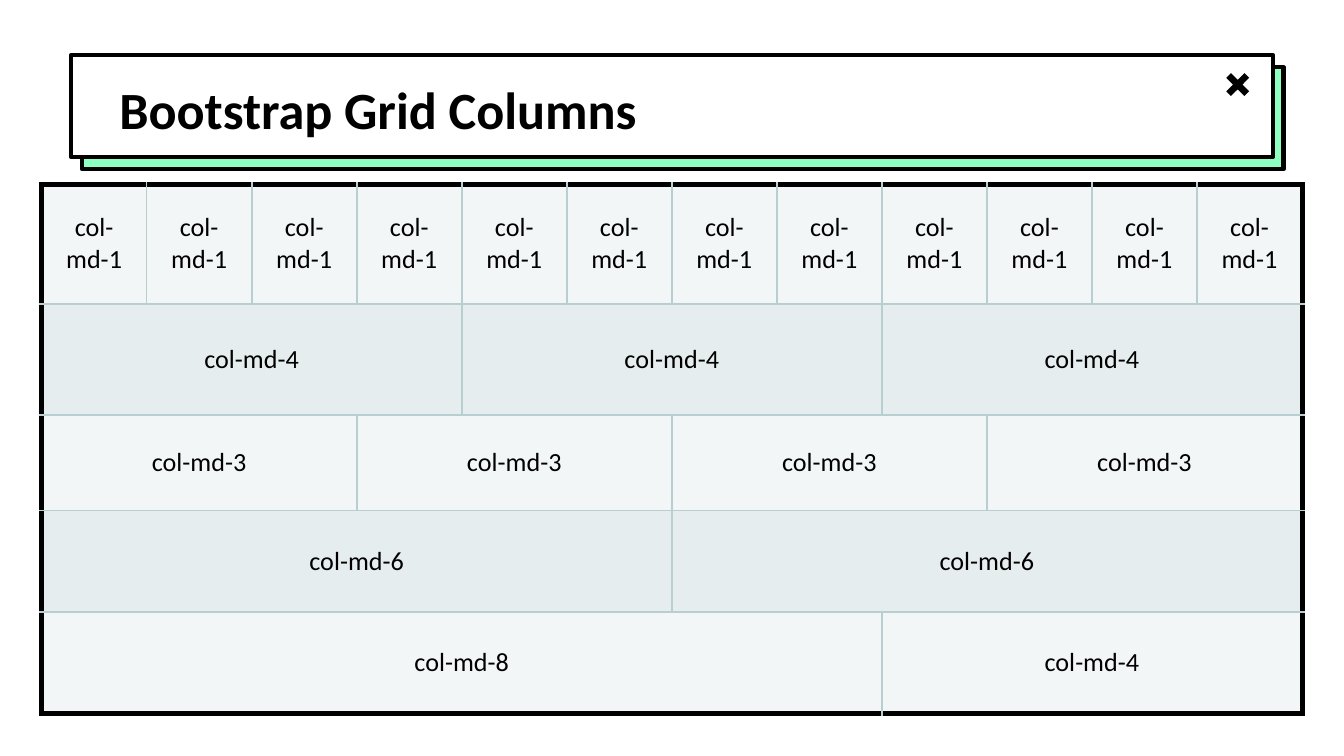
from dataclasses import dataclass

from lxml import etree
from pptx import Presentation, util as u
from pptx.dml.color import RGBColor
from pptx.enum import shapes, text
from pptx.oxml.ns import qn


@dataclass(frozen=True)
class Theme:
    font: str = "Calibri"
    ink: str = "000000"
    paper: str = "FFFFFF"
    accent: str = "8FFFC1"
    rule: str = "B8CED0"
    bands: tuple = ("F3F6F7", "E6EDEE")
    title_size: float = 28
    cell_size: float = 14
    outline: float = 2.25
    frame: float = 3
    hairline: float = 1


class GridSlide:
    """A slide measured on a square grid, 100 columns wide and 56.25 rows high."""
    COLUMNS, ROWS = 100, 56.25

    def __init__(self, presentation, theme):
        self.theme = theme
        self.unit = presentation.slide_width / self.COLUMNS
        self.slide = presentation.slides.add_slide(presentation.slide_layouts[6])

    def place(self, *lengths):
        return [u.Emu(round(length * self.unit)) for length in lengths]

    def shape(self, kind, box, color, outlined=True):
        shape = self.slide.shapes.add_shape(kind, *self.place(*box))
        shape.shadow.inherit = False
        shape.fill.solid()
        shape.fill.fore_color.rgb = RGBColor.from_string(color)
        if outlined:
            shape.line.color.rgb = RGBColor.from_string(self.theme.ink)
            shape.line.width = u.Pt(self.theme.outline)
        else:
            shape.line.fill.background()
        return shape

    def format_text(self, paragraph, size, bold=False):
        for run in paragraph.runs:
            run.font.name = self.theme.font
            run.font.size = u.Pt(size)
            run.font.bold = bold
            run.font.color.rgb = RGBColor.from_string(self.theme.ink)

    def title(self, words, box):
        frame = self.slide.shapes.add_textbox(*self.place(*box)).text_frame
        frame.word_wrap = True
        frame.vertical_anchor = text.MSO_ANCHOR.MIDDLE
        frame.margin_left = frame.margin_right = u.Inches(0.1)
        frame.margin_top = frame.margin_bottom = u.Inches(0.1)
        frame.text = words
        self.format_text(frame.paragraphs[0], self.theme.title_size, bold=True)

    def border(self, cell, side, outer):
        """Draw one side (L, R, T or B); outer sides belong to the table's frame."""
        color, width = ((self.theme.ink, self.theme.frame) if outer
                        else (self.theme.rule, self.theme.hairline))
        properties = cell._tc.get_or_add_tcPr()
        line = etree.SubElement(properties, qn(f"a:ln{side}"), w=str(u.Pt(width)))
        fill = etree.SubElement(line, qn("a:solidFill"))
        etree.SubElement(fill, qn("a:srgbClr"), val=color)

    def span_table(self, spans, heights, box):
        """Build a table whose rows are divided into the given column spans."""
        columns = sum(spans[0])
        left, top, width = box
        table = self.slide.shapes.add_table(
            len(spans), columns, *self.place(left, top, width, sum(heights))).table
        table.first_row = table.horz_banding = False
        for column in table.columns:
            column.width = self.place(width / columns)[0]
        for row, (row_spans, height) in enumerate(zip(spans, heights)):
            table.rows[row].height = self.place(height)[0]
            start = 0
            for span in row_spans:
                self.block(table, row, start, span)
                start += span

    def block(self, table, row, start, span):
        last = start + span - 1
        outer = {"L": start == 0, "R": last == len(table.columns) - 1,
                 "T": row == 0, "B": row == len(table.rows) - 1}
        for column in range(start, last + 1):
            cell = table.cell(row, column)
            sides = "LRTB" if column == start else "RTB" if column == last else "TB"
            for side in sides:
                self.border(cell, side, outer[side])
            cell.fill.solid()
            cell.fill.fore_color.rgb = RGBColor.from_string(self.theme.bands[row % 2])
        origin = table.cell(row, start)
        if span > 1:
            origin.merge(table.cell(row, last))
        origin.vertical_anchor = text.MSO_ANCHOR.MIDDLE
        origin.margin_left = origin.margin_right = u.Inches(0.07)
        origin.margin_top = origin.margin_bottom = u.Inches(0.04)
        origin.text_frame.text = f"col-md-{span}"
        paragraph = origin.text_frame.paragraphs[0]
        paragraph.alignment = text.PP_ALIGN.CENTER
        self.format_text(paragraph, self.theme.cell_size)


def main():
    presentation = Presentation()
    presentation.slide_width = u.Inches(10)
    presentation.slide_height = u.Inches(10 * GridSlide.ROWS / GridSlide.COLUMNS)
    theme = Theme()
    grid = GridSlide(presentation, theme)

    rectangle = shapes.MSO_SHAPE.RECTANGLE
    grid.shape(rectangle, (6.1, 5, 89.4, 7.6), theme.accent)
    grid.shape(rectangle, (5.3, 4.1, 89.4, 7.6), theme.paper)
    close_mark = grid.shape(shapes.MSO_SHAPE.MATH_MULTIPLY, (90.8, 5, 2.6, 2.6),
                            theme.ink, outlined=False)
    close_mark.adjustments[0] = 0.19
    grid.title("Bootstrap Grid Columns", (7.9, 4.9, 84.3, 6.3))

    spans = [[1] * 12, [4] * 3, [3] * 4, [6] * 2, [8, 4]]
    grid.span_table(spans, (8.9, 8.3, 7.1, 7.55, 7.55), (3.1, 13.7, 93.8))
    presentation.save("out.pptx")


if __name__ == "__main__":
    main()
